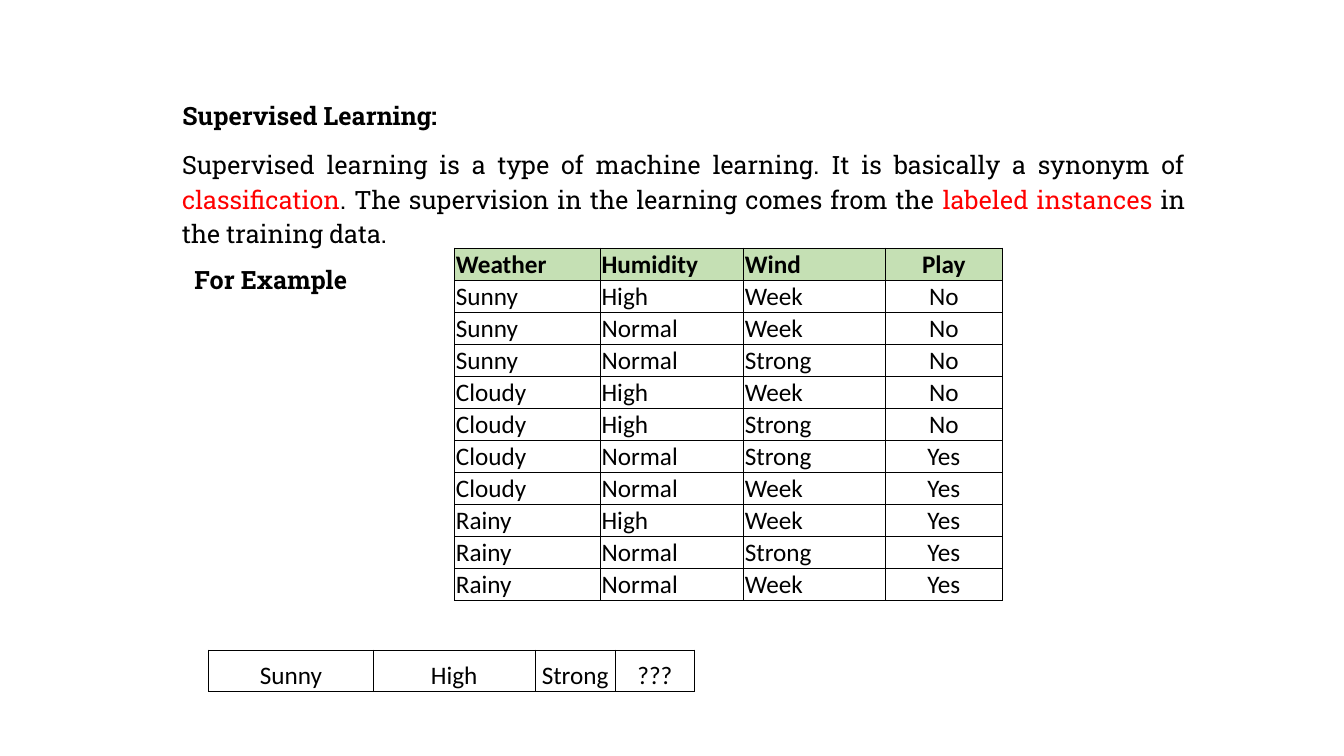
from lxml import etree
from pptx import Presentation
from pptx import util as u
from pptx.dml.color import RGBColor
from pptx.enum import text
from pptx.oxml import ns

BLACK = RGBColor(0x00, 0x00, 0x00)
RED = RGBColor(0xFF, 0x00, 0x00)
GREEN = RGBColor(0xC5, 0xE0, 0xB4)
SLAB = "Roboto Slab"
BODY = "Calibri"


def style_run(r, font, bold=False, color=BLACK):
    r.font.name = font
    r.font.size = u.Pt(18)
    r.font.bold = bold
    r.font.color.rgb = color


def add_grid(s, rows, left, top, widths, height, centred, header):
    frame = s.shapes.add_table(len(rows), len(widths), u.Cm(left), u.Cm(top),
                               u.Cm(sum(widths)), u.Cm(height * len(rows)))
    table = frame.table
    table.first_row = header
    table.horz_banding = False
    for column, width in zip(table.columns, widths):
        column.width = u.Cm(width)
    for i, row in enumerate(rows):
        table.rows[i].height = u.Cm(height)
        for j, value in enumerate(row):
            is_header = header and i == 0
            cell = table.cell(i, j)
            cell.margin_left = cell.margin_right = cell.margin_top = u.Cm(0.03)
            cell.margin_bottom = 0
            cell.vertical_anchor = text.MSO_ANCHOR.BOTTOM
            cell.text_frame.text = value
            p = cell.text_frame.paragraphs[0]
            p.alignment = text.PP_ALIGN.CENTER if j in centred else text.PP_ALIGN.LEFT
            style_run(p.runs[0], BODY, bold=is_header)
            tc_pr = cell._tc.get_or_add_tcPr()
            for side in ("a:lnL", "a:lnR", "a:lnT", "a:lnB"):
                ln = etree.SubElement(tc_pr, ns.qn(side), w=str(u.Pt(0.5)))
                fill = etree.SubElement(ln, ns.qn("a:solidFill"))
                etree.SubElement(fill, ns.qn("a:srgbClr"), val=str(BLACK))
            if is_header:
                cell.fill.solid()
                cell.fill.fore_color.rgb = GREEN
            else:
                cell.fill.background()


prs = Presentation()
prs.slide_width = u.Cm(33.87)
prs.slide_height = u.Cm(19.05)
s = prs.slides.add_slide(prs.slide_layouts[5])

title = s.shapes.title
title.left, title.top, title.width, title.height = u.Cm(4.34), u.Cm(2.29), u.Cm(25.78), u.Cm(1.23)
definition = s.shapes.add_textbox(u.Cm(4.34), u.Cm(3.52), u.Cm(25.78), u.Cm(2.9))
example = s.shapes.add_textbox(u.Cm(4.65), u.Cm(6.43), u.Cm(4.72), u.Cm(1.09))

blocks = [
    (title, text.PP_ALIGN.LEFT, True, [("Supervised Learning:", BLACK)]),
    (definition, text.PP_ALIGN.JUSTIFY, False, [
        ("Supervised learning is a type of machine learning. It is basically a synonym of ", BLACK),
        ("classiﬁcation", RED),
        (". The supervision in the learning comes from the ", BLACK),
        ("labeled instances ", RED),
        ("in the training data.", BLACK),
    ]),
    (example, text.PP_ALIGN.LEFT, True, [("For Example", BLACK)]),
]
for sp, alignment, bold, parts in blocks:
    tf = sp.text_frame
    tf.word_wrap = sp is not example
    tf.auto_size = text.MSO_AUTO_SIZE.NONE
    tf.vertical_anchor = text.MSO_ANCHOR.TOP
    p = tf.paragraphs[0]
    p.alignment = alignment
    p.line_spacing = 1.15
    p.space_after = u.Pt(10)
    for wording, color in parts:
        r = p.add_run()
        r.text = wording
        style_run(r, SLAB, bold, color)

training = [
    ("Weather", "Humidity", "Wind", "Play"),
    ("Sunny", "High", "Week", "No"),
    ("Sunny", "Normal", "Week", "No"),
    ("Sunny", "Normal", "Strong", "No"),
    ("Cloudy", "High", "Week", "No"),
    ("Cloudy", "High", "Strong", "No"),
    ("Cloudy", "Normal", "Strong", "Yes"),
    ("Cloudy", "Normal", "Week", "Yes"),
    ("Rainy", "High", "Week", "Yes"),
    ("Rainy", "Normal", "Strong", "Yes"),
    ("Rainy", "Normal", "Week", "Yes"),
]
query = [("Sunny", "High", "Strong", "???")]
add_grid(s, training, 11.46, 6.25, (3.67, 3.61, 3.56, 2.97), 0.79, {3}, True)
add_grid(s, query, 5.26, 16.38, (4.14, 4.09, 2.01, 2.01), 1.04, {0, 1, 2, 3}, False)

prs.save("out.pptx")
